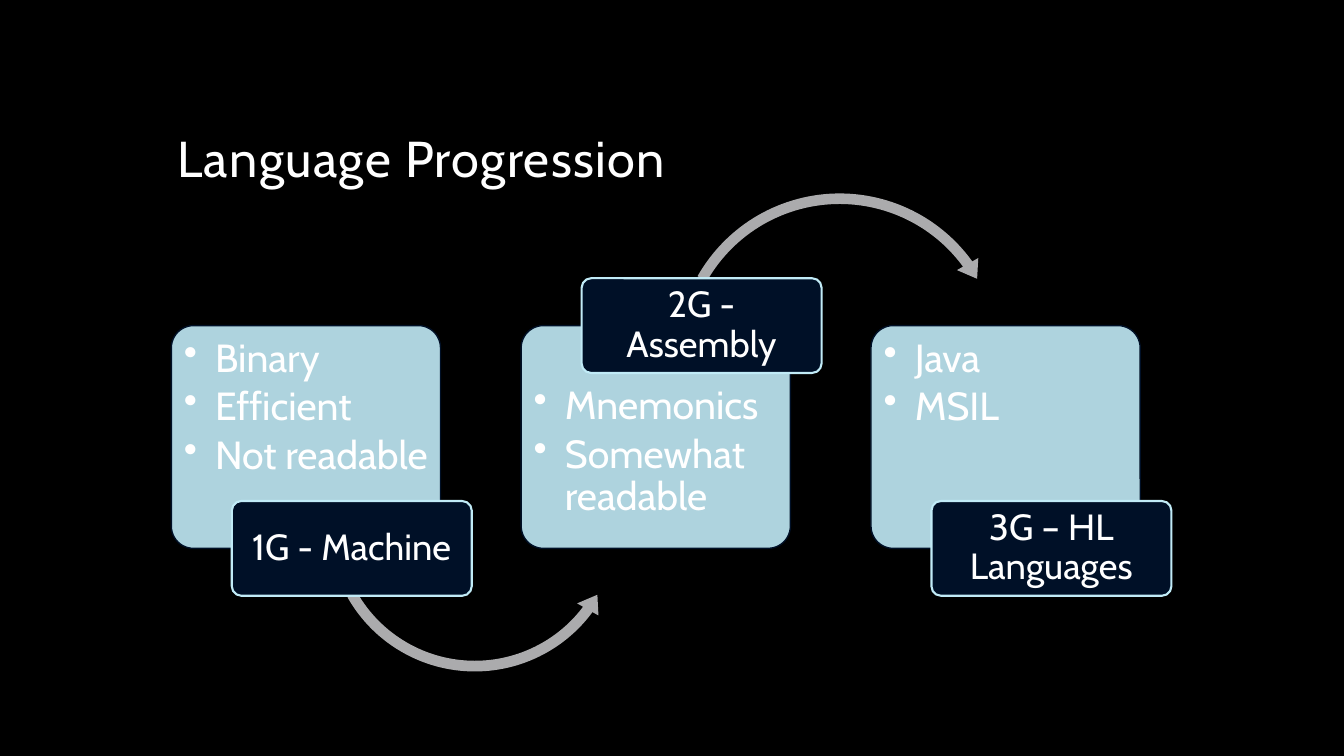
from dataclasses import dataclass

from lxml.etree import SubElement
from pptx import Presentation
from pptx.dml.color import RGBColor
from pptx.enum.shapes import MSO_SHAPE as Shape
from pptx.enum.text import MSO_ANCHOR as Anchor, MSO_AUTO_SIZE as AutoSize, PP_ALIGN as Align
from pptx.oxml.ns import qn
from pptx.util import Inches, Pt

BLACK = RGBColor(0x00, 0x00, 0x00)
WHITE = RGBColor(0xFF, 0xFF, 0xFF)
PALE_BLUE = RGBColor(0xC1, 0xEB, 0xF7)
NAVY = RGBColor(0x00, 0x10, 0x27)
GREY = RGBColor(0xAB, 0xAB, 0xAD)
FONT = "Cabin"

# Grid of 100 columns by 100 rows over the whole slide
WIDTH, HEIGHT = Inches(13.33), Inches(7.5)
CARD_LEFT, CARD_TOP, CARD_W, CARD_H = 12.75, 43.07, 20.03, 29.47
CARD_PITCH = 26.03
LABEL_SHIFT, LABEL_W, LABEL_H = 4.5, 17.85, 12.53


@dataclass(frozen=True)
class Arrow:
    kind: Shape
    box: tuple[float, float, float, float]
    thickness: float  # percent of the box
    head_angle: float  # degrees, as are the next two
    end: float
    start: float
    head_width: float  # percent of the box


@dataclass(frozen=True)
class Generation:
    label: str
    points: tuple[str, ...]
    label_on_top: bool = False
    arrow: Arrow | None = None


GENERATIONS = (
    Generation("1G - Machine", ("Binary", "Efficient", "Not readable"),
               arrow=Arrow(Shape.LEFT_CIRCULAR_ARROW, (23.93, 49.2, 22.8, 40.53),
                           3.5, 7.13, 36.72, 150.41, 4)),
    Generation("2G - Assembly", ("Mnemonics", "Somewhat readable"), label_on_top=True,
               arrow=Arrow(Shape.CIRCULAR_ARROW, (49.8, 24.67, 25.35, 45.07),
                           3.1, 6.36, 324.05, 209.59, 3.6)),
    Generation("3G – HL Languages", ("Java", "MSIL")),
)


def place(left: float, top: float, width: float, height: float) -> tuple[int, ...]:
    """Turn grid columns and rows into slide lengths."""
    return tuple(int(n * side / 100) for n, side in
                 ((left, WIDTH), (top, HEIGHT), (width, WIDTH), (height, HEIGHT)))


def write(tf, *lines: str, size: float, align=Align.LEFT, anchor=Anchor.TOP,
          inset=None, bullet: bool = False, after: float = 0, tracking: float = 0) -> None:
    tf.word_wrap = True
    tf.auto_size = AutoSize.NONE
    tf.vertical_anchor = anchor
    if inset:
        (tf.margin_left, tf.margin_top,
         tf.margin_right, tf.margin_bottom) = (Inches(n) for n in inset)
    for i, line in enumerate(lines):
        p = tf.add_paragraph() if i else tf.paragraphs[0]
        p.alignment, p.line_spacing = align, 0.9
        p.space_before, p.space_after = Pt(0), Pt(after)
        if bullet:
            p.level = 1
            pPr = p._p.get_or_add_pPr()
            pPr.set("marL", str(Inches(0.31)))
            pPr.set("indent", str(-Inches(0.31)))
            SubElement(pPr, qn("a:buChar")).set("char", "•")
        r = p.add_run()
        r.text = line
        r.font.name, r.font.size, r.font.color.rgb = FONT, Pt(size), WHITE
        if tracking:
            r._r.get_or_add_rPr().set("spc", str(int(tracking * 100)))


def add_shape(s, kind: Shape, box, fill: RGBColor, line: RGBColor | None = None,
              line_width: float = 1, opacity: int = 100):
    sp = s.shapes.add_shape(kind, *place(*box))
    sp.shadow.inherit = False
    sp.fill.solid()
    sp.fill.fore_color.rgb = fill
    if opacity < 100:
        color = sp._element.spPr.find(qn("a:solidFill"))[0]
        SubElement(color, qn("a:alpha")).set("val", str(opacity * 1000))
    if line is None:
        sp.line.fill.background()
    else:
        sp.line.color.rgb, sp.line.width = line, Pt(line_width)
    if kind == Shape.ROUNDED_RECTANGLE:
        sp.adjustments[0] = 0.1
    return sp


def add_arrow(s, arrow: Arrow) -> None:
    sp = add_shape(s, arrow.kind, arrow.box, GREY)
    # Angles are stored in 60000ths of a degree, adjustments in 100000ths
    values = (arrow.thickness / 100, arrow.head_angle * 0.6, arrow.end * 0.6,
              arrow.start * 0.6, arrow.head_width / 100)
    for i, value in enumerate(values):
        sp.adjustments[i] = value


def add_generation(s, index: int, gen: Generation) -> None:
    left = CARD_LEFT + index * CARD_PITCH
    # Card with its bullet list, kept clear of a label on the top edge
    card = add_shape(s, Shape.ROUNDED_RECTANGLE, (left, CARD_TOP, CARD_W, CARD_H),
                     PALE_BLUE, NAVY, opacity=90)
    top_inset = 0.53 if gen.label_on_top else 0.06
    write(card.text_frame, *gen.points, size=28, bullet=True, after=4.5,
          inset=(0.06, top_inset, 0.06, 0.06))
    if gen.arrow:
        add_arrow(s, gen.arrow)
    # Label centred on the top or bottom edge of the card
    edge = CARD_TOP if gen.label_on_top else CARD_TOP + CARD_H
    label = add_shape(s, Shape.ROUNDED_RECTANGLE,
                      (left + LABEL_SHIFT, edge - LABEL_H / 2, LABEL_W, LABEL_H),
                      NAVY, PALE_BLUE, 1.5)
    write(label.text_frame, gen.label, size=26, align=Align.CENTER,
          anchor=Anchor.MIDDLE, inset=(0.05, 0.04, 0.05, 0.04))


def main() -> None:
    prs = Presentation()
    prs.slide_width, prs.slide_height = WIDTH, HEIGHT
    s = prs.slides.add_slide(prs.slide_layouts[5])
    s.background.fill.solid()
    s.background.fill.fore_color.rgb = BLACK

    # Title
    title = s.shapes.title
    title.left, title.top, title.width, title.height = place(12.45, 5.6, 75, 20)
    write(title.text_frame, "Language Progression", size=36, anchor=Anchor.BOTTOM, tracking=1)

    # Cards, arrows and labels
    for index, gen in enumerate(GENERATIONS):
        add_generation(s, index, gen)
    prs.save("out.pptx")


if __name__ == "__main__":
    main()
